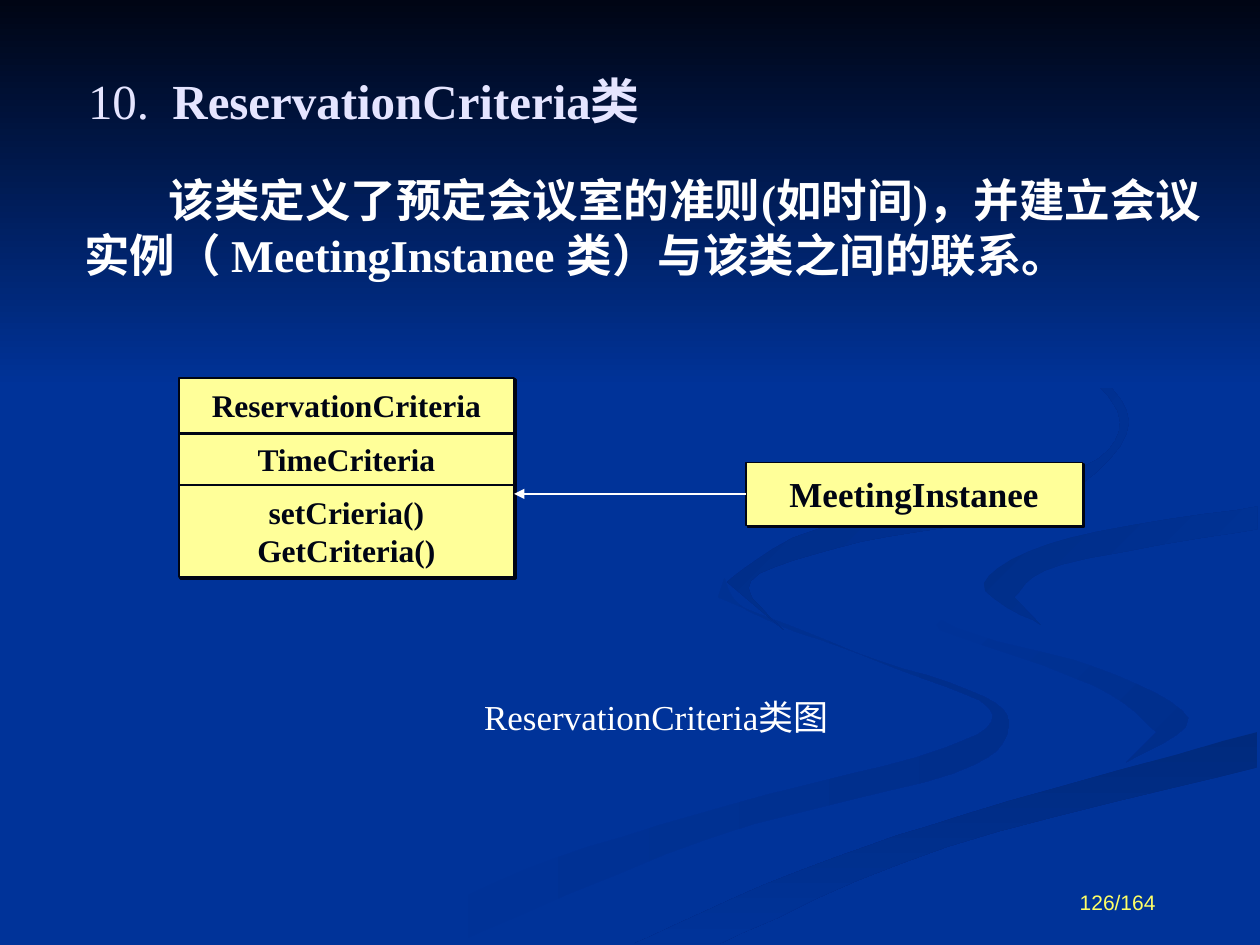
from dataclasses import dataclass

from lxml import etree
from pptx import Presentation
from pptx.dml.color import RGBColor
from pptx.enum.shapes import MSO_CONNECTOR, MSO_SHAPE
from pptx.enum.text import MSO_ANCHOR, PP_ALIGN
from pptx.oxml.ns import qn
from pptx.util import Inches, Pt

STRAIGHT, RECTANGLE = MSO_CONNECTOR.STRAIGHT, MSO_SHAPE.RECTANGLE
TOP, MIDDLE, BOTTOM = MSO_ANCHOR.TOP, MSO_ANCHOR.MIDDLE, MSO_ANCHOR.BOTTOM
LEFT, CENTER, RIGHT = PP_ALIGN.LEFT, PP_ALIGN.CENTER, PP_ALIGN.RIGHT
LEFT_SIDE = 1
CURVE_STEPS = 6


@dataclass(frozen=True)
class Theme:
    serif: str = "Times New Roman"
    sans: str = "Arial"
    background: str = "003399"
    ink: str = "000514"
    title: str = "E5E5FF"
    white: str = "FFFFFF"
    box: str = "FFFF99"
    page: str = "FFFF66"
    title_size: int = 28
    body_size: int = 26
    class_size: int = 18
    label_size: int = 20
    page_size: int = 12


THEME = Theme()

# Background ribbons: start colour, end colour, clockwise angle, then the two
# edges, one out and one back, as knots in hundredths of an inch
RIBBONS = [
    (THEME.background, "002E8B", 0,
     [(575, 459), (594, 485), (682, 519), (781, 553), (800, 581), (756, 614),
      (564, 665), (361, 749)],
     [(300, 749), (417, 690), (579, 639), (749, 594), (785, 562), (697, 525),
      (570, 474)]),
    (THEME.background, "002E8B", 45,
     [(724, 464), (758, 498), (870, 530), (943, 570), (894, 605)],
     [(918, 581), (868, 544), (746, 500)]),
    ("002A7D", THEME.background, 90,
     [(503, 749), (630, 693), (764, 647), (998, 581)],
     [(998, 609), (752, 672), (571, 749)]),
    ("002D86", THEME.background, 45,
     [(826, 496), (781, 463), (849, 427), (998, 402)],
     [(998, 420), (843, 448), (805, 474)]),
    ("002B82", THEME.background, 45,
     [(762, 233), (864, 291), (894, 344), (825, 402), (683, 430), (596, 461),
      (622, 500)],
     [(577, 462), (649, 420), (842, 378), (889, 335), (846, 279)]),
]


def rgb(color):
    return RGBColor.from_string(color)


def smooth(knots):
    """Points of a Catmull-Rom curve through the knots."""
    padded = [knots[0], *knots, knots[-1]]
    points = [knots[0]]
    for span in zip(padded, padded[1:], padded[2:], padded[3:]):
        for step in range(1, CURVE_STEPS + 1):
            t = step / CURVE_STEPS
            points.append(tuple(
                b + t * (c - a + t * (2 * a - 5 * b + 4 * c - d
                                      + t * (3 * (b - c) + d - a))) / 2
                for a, b, c, d in zip(*span)))
    return points


def paint_gradient(shape, start, end, angle):
    shape.shadow.inherit = False
    shape.line.fill.background()
    shape.fill.gradient()
    shape.fill.gradient_angle = -angle % 360
    for stop, color in zip(shape.fill.gradient_stops, (start, end)):
        stop.color.rgb = rgb(color)


def add_ribbon(slide, start, end, angle, edge_out, edge_back):
    outline = smooth(edge_out) + smooth(edge_back)
    builder = slide.shapes.build_freeform(*outline[0], scale=Inches(0.01))
    builder.add_line_segments(outline[1:], close=True)
    paint_gradient(builder.convert_to_shape(), start, end, angle)


def write_text(paragraph, text, *, size, color, font=THEME.serif, bold=False,
               align=LEFT, space_before=0):
    paragraph.alignment = align
    if space_before:
        paragraph.space_before = Pt(space_before)
    run = paragraph.add_run()
    run.text = text
    run.font.name = font
    run.font.size = Pt(size)
    run.font.bold = bold
    run.font.color.rgb = rgb(color)


def add_text_area(slide, left, top, width, height, anchor=TOP):
    area = slide.shapes.add_textbox(*map(Inches, (left, top, width, height)))
    area.text_frame.word_wrap = True
    area.text_frame.vertical_anchor = anchor
    return area.text_frame.paragraphs[0]


def set_indent(paragraph, left, first_line):
    properties = paragraph._p.get_or_add_pPr()
    properties.set("marL", str(Inches(left)))
    properties.set("indent", str(Inches(first_line)))


def add_class_box(slide, left, top, width, height, line_width):
    box = slide.shapes.add_shape(
        RECTANGLE, *map(Inches, (left, top, width, height)))
    box.fill.solid()
    box.fill.fore_color.rgb = rgb(THEME.box)
    box.line.color.rgb = rgb(THEME.ink)
    box.line.width = Pt(line_width)
    box.text_frame.word_wrap = False
    box.text_frame.vertical_anchor = MIDDLE
    # Hard offset shadow
    box.shadow.inherit = False
    effects = box._element.spPr.find(qn("a:effectLst"))
    shadow = etree.SubElement(effects, qn("a:outerShdw"), blurRad="0",
                              dist=str(Pt(1.4)), dir="2700000", algn="ctr",
                              rotWithShape="0")
    etree.SubElement(shadow, qn("a:srgbClr"), val=THEME.ink)
    return box


def add_line(slide, start, end, color):
    line = slide.shapes.add_connector(STRAIGHT, *map(Inches, start + end))
    line.line.color.rgb = rgb(color)
    line.line.width = Pt(1.5)
    etree.SubElement(line._element.spPr, qn("a:effectLst"))
    return line


def main():
    deck = Presentation()
    deck.slide_width, deck.slide_height = Inches(10), Inches(7.5)
    slide = deck.slides.add_slide(deck.slide_layouts[6])

    # Background with ribbons and a dark sky across the top
    slide.background.fill.solid()
    slide.background.fill.fore_color.rgb = rgb(THEME.background)
    for ribbon in RIBBONS:
        add_ribbon(slide, *ribbon)
    sky = slide.shapes.add_shape(RECTANGLE, 0, 0, deck.slide_width, Inches(3.08))
    paint_gradient(sky, THEME.ink, THEME.background, 90)

    # Heading and explanation
    heading = add_text_area(slide, 0.6, 0.5, 5.98, 0.58, MIDDLE)
    set_indent(heading, 0.67, -0.67)
    for text, bold in (("10.\t", False), ("ReservationCriteria类", True)):
        write_text(heading, text, size=THEME.title_size, color=THEME.title,
                   bold=bold)
    explanation = add_text_area(slide, 0.57, 1.32, 9.17, 0.97)
    set_indent(explanation, 0, 0.67)
    write_text(explanation, "该类定义了预定会议室的准则(如时间)，并建立会议实例"
               "（ MeetingInstanee 类）与该类之间的联系。",
               size=THEME.body_size, color=THEME.white, bold=True)

    # Class with its attribute and operations
    criteria = add_class_box(slide, 1.42, 3, 2.66, 1.58, 1.5)
    members = (("ReservationCriteria", 0), ("TimeCriteria", 9),
               ("setCrieria()", 9), ("GetCriteria()", 0))
    frame = criteria.text_frame
    for index, (member, gap) in enumerate(members):
        paragraph = frame.add_paragraph() if index else frame.paragraphs[0]
        write_text(paragraph, member, size=THEME.class_size, color=THEME.ink,
                   bold=True, align=CENTER, space_before=gap)
    for divider_y in (3.44, 3.85):
        add_line(slide, (1.42, divider_y), (4.08, divider_y), THEME.ink)

    # Associated class and arrow
    meeting = add_class_box(slide, 5.92, 3.67, 2.67, 0.5, 0.75)
    write_text(meeting.text_frame.paragraphs[0], "MeetingInstanee",
               size=THEME.label_size, color=THEME.ink, bold=True, align=CENTER)
    association = add_line(slide, (5.92, 3.92), (4.08, 3.92), THEME.white)
    association.begin_connect(meeting, LEFT_SIDE)
    etree.SubElement(association.line._get_or_add_ln(), qn("a:tailEnd"),
                     type="triangle")

    # Caption and page number
    caption = add_text_area(slide, 2.71, 5.47, 5, 0.44)
    write_text(caption, "ReservationCriteria类图", size=THEME.label_size,
               color=THEME.white, align=CENTER)
    page = add_text_area(slide, 6.94, 6.79, 2.33, 0.52, BOTTOM)
    write_text(page, "126/164", size=THEME.page_size, color=THEME.page,
               font=THEME.sans, align=RIGHT)

    deck.save("out.pptx")


if __name__ == "__main__":
    main()
